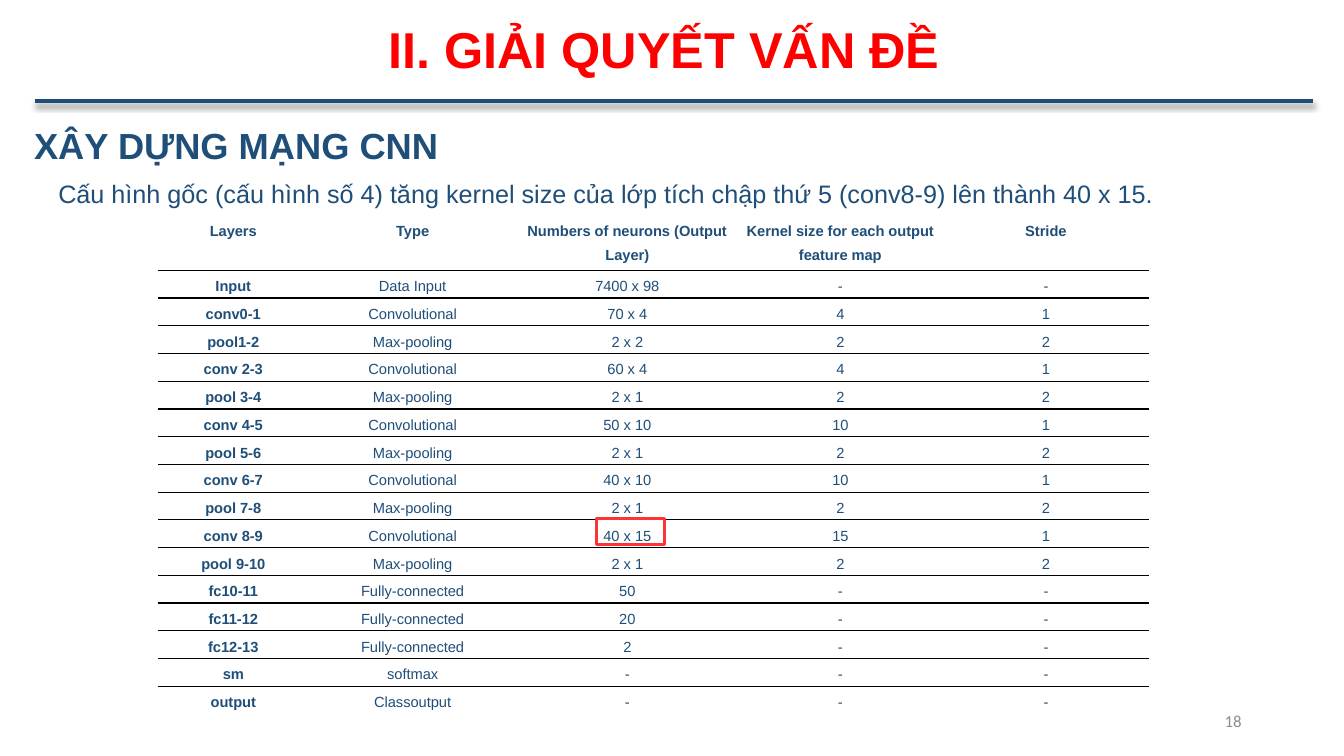
from lxml import etree
from pptx import Presentation
from pptx.dml.color import RGBColor
from pptx.enum.shapes import MSO_CONNECTOR, MSO_SHAPE
from pptx.enum.text import MSO_ANCHOR, PP_ALIGN
from pptx.oxml import parse_xml
from pptx.oxml.ns import nsdecls, qn
from pptx.util import Cm, Pt

LEFT, CENTER, RIGHT = PP_ALIGN.LEFT, PP_ALIGN.CENTER, PP_ALIGN.RIGHT
TOP, MIDDLE = MSO_ANCHOR.TOP, MSO_ANCHOR.MIDDLE
STRAIGHT = MSO_CONNECTOR.STRAIGHT
RECTANGLE = MSO_SHAPE.RECTANGLE

NAVY = RGBColor(0x1F, 0x4E, 0x79)
RED = RGBColor(0xFF, 0x00, 0x00)
HIGHLIGHT_RED = RGBColor(0xFF, 0x33, 0x33)
GRAY = RGBColor(0x8C, 0x8C, 0x8C)
BLACK = RGBColor(0x00, 0x00, 0x00)
WHITE = RGBColor(0xFF, 0xFF, 0xFF)

COLUMN_WIDTHS = (3.78, 5.26, 5.56, 5.18, 5.18)
HEADER_HEIGHT, ROW_HEIGHT = 1.4, 0.7
LAYERS = [
    ("Layers", "Type", "Numbers of neurons (Output Layer)",
     "Kernel size for each output feature map", "Stride"),
    ("Input", "Data Input", "7400 x 98", "-", "-"),
    ("conv0-1", "Convolutional", "70 x 4", "4", "1"),
    ("pool1-2", "Max-pooling", "2 x 2", "2", "2"),
    ("conv 2-3", "Convolutional", "60 x 4", "4", "1"),
    ("pool 3-4", "Max-pooling", "2 x 1", "2", "2"),
    ("conv 4-5", "Convolutional", "50 x 10", "10", "1"),
    ("pool 5-6", "Max-pooling", "2 x 1", "2", "2"),
    ("conv 6-7", "Convolutional", "40 x 10", "10", "1"),
    ("pool 7-8", "Max-pooling", "2 x 1", "2", "2"),
    ("conv 8-9", "Convolutional", "40 x 15", "15", "1"),
    ("pool 9-10", "Max-pooling", "2 x 1", "2", "2"),
    ("fc10-11", "Fully-connected", "50", "-", "-"),
    ("fc11-12", "Fully-connected", "20", "-", "-"),
    ("fc12-13", "Fully-connected", "2", "-", "-"),
    ("sm", "softmax", "-", "-", "-"),
    ("output", "Classoutput", "-", "-", "-"),
]


def set_attributes(target, values):
    for name, value in values.items():
        setattr(target, name, value)


def write_text(paragraph, text, size, color, bold=False, font="Arial", **paragraph_format):
    set_attributes(paragraph, paragraph_format)
    run = paragraph.add_run()
    run.text = text
    set_attributes(run.font, {"name": font, "size": Pt(size), "bold": bold})
    run.font.color.rgb = color


def add_text(slide, box, text, size, color, anchor=TOP, **text_format):
    frame = slide.shapes.add_textbox(*map(Cm, box)).text_frame
    set_attributes(frame, {"word_wrap": True, "vertical_anchor": anchor})
    write_text(frame.paragraphs[0], text, size, color, **text_format)


def add_title_rule(slide):
    """Draw the line under the title, with its soft shadow."""
    rule = slide.shapes.add_connector(STRAIGHT, Cm(0.89), Cm(2.54), Cm(33.1), Cm(2.54))
    rule.line.color.rgb = NAVY
    rule.line.width = Pt(3)
    rule._element.spPr.append(parse_xml(
        f'<a:effectLst {nsdecls("a")}>'
        f'<a:outerShdw blurRad="{Pt(4)}" dist="{Pt(3)}" dir="5400000" rotWithShape="0">'
        f'<a:srgbClr val="{BLACK}"><a:alpha val="40000"/></a:srgbClr>'
        '</a:outerShdw></a:effectLst>'))


def set_borders(cell, borders):
    """Give each side (L, R, T, B) a 1 pt line, or none where the color is None."""
    properties = cell._tc.get_or_add_tcPr()
    for position, (side, color) in enumerate(borders.items()):
        line = etree.Element(qn(f"a:ln{side}"), w=str(Pt(1)))
        if color is None:
            etree.SubElement(line, qn("a:noFill"))
        else:
            fill = etree.SubElement(line, qn("a:solidFill"))
            etree.SubElement(fill, qn("a:srgbClr"), val=str(color))
        properties.insert(position, line)


def add_layer_table(slide):
    last_row = len(LAYERS) - 1
    height = HEADER_HEIGHT + last_row * ROW_HEIGHT
    table = slide.shapes.add_table(
        len(LAYERS), len(COLUMN_WIDTHS),
        Cm(3.99), Cm(5.41), Cm(sum(COLUMN_WIDTHS)), Cm(height)).table
    set_attributes(table, {"first_row": False, "horz_banding": False})
    for column, width in zip(table.columns, COLUMN_WIDTHS):
        column.width = Cm(width)
    for row_index, values in enumerate(LAYERS):
        is_header = row_index == 0
        table.rows[row_index].height = Cm(HEADER_HEIGHT if is_header else ROW_HEIGHT)
        borders = {"L": WHITE, "R": WHITE,
                   "T": None if is_header else BLACK,
                   "B": None if row_index == last_row else BLACK}
        for column_index, text in enumerate(values):
            cell = table.cell(row_index, column_index)
            cell.fill.background()
            set_attributes(cell, {"margin_left": Cm(0.18), "margin_right": Cm(0.18),
                                  "margin_top": 0, "margin_bottom": 0})
            set_borders(cell, borders)
            write_text(cell.text_frame.paragraphs[0], text, 10.5, NAVY,
                       bold=is_header or column_index == 0,
                       alignment=CENTER, line_spacing=1.5)


def add_highlight(slide, box):
    frame = slide.shapes.add_shape(RECTANGLE, *map(Cm, box))
    frame.shadow.inherit = False
    frame.fill.background()
    frame.line.color.rgb = HIGHLIGHT_RED
    frame.line.width = Pt(2)


def main():
    presentation = Presentation()
    set_attributes(presentation, {"slide_width": Cm(33.87), "slide_height": Cm(19.05)})
    slide = presentation.slides.add_slide(presentation.slide_layouts[6])

    add_text(slide, (23.92, 17.66, 7.62, 1.01), "18", 12, GRAY, MIDDLE,
             font="Calibri", alignment=RIGHT)
    add_title_rule(slide)
    add_text(slide, (4.5, 0.5, 24.48, 1.65), "II. GIẢI QUYẾT VẤN ĐỀ", 36, RED, MIDDLE,
             bold=True, alignment=CENTER, line_spacing=0.9)
    add_text(slide, (0.61, 2.54, 29.21, 1.85), "XÂY DỰNG MẠNG CNN", 25.9, NAVY,
             bold=True, alignment=LEFT, line_spacing=1.4, space_before=Pt(10))
    add_layer_table(slide)
    add_text(slide, (1.22, 4.37, 30.33, 1.02),
             "Cấu hình gốc (cấu hình số 4) tăng kernel size của lớp tích chập thứ 5 "
             "(conv8-9) lên thành 40 x 15.", 18, NAVY, alignment=LEFT)
    add_highlight(slide, (15.04, 13.06, 1.7, 0.66))

    presentation.save("out.pptx")


if __name__ == "__main__":
    main()
